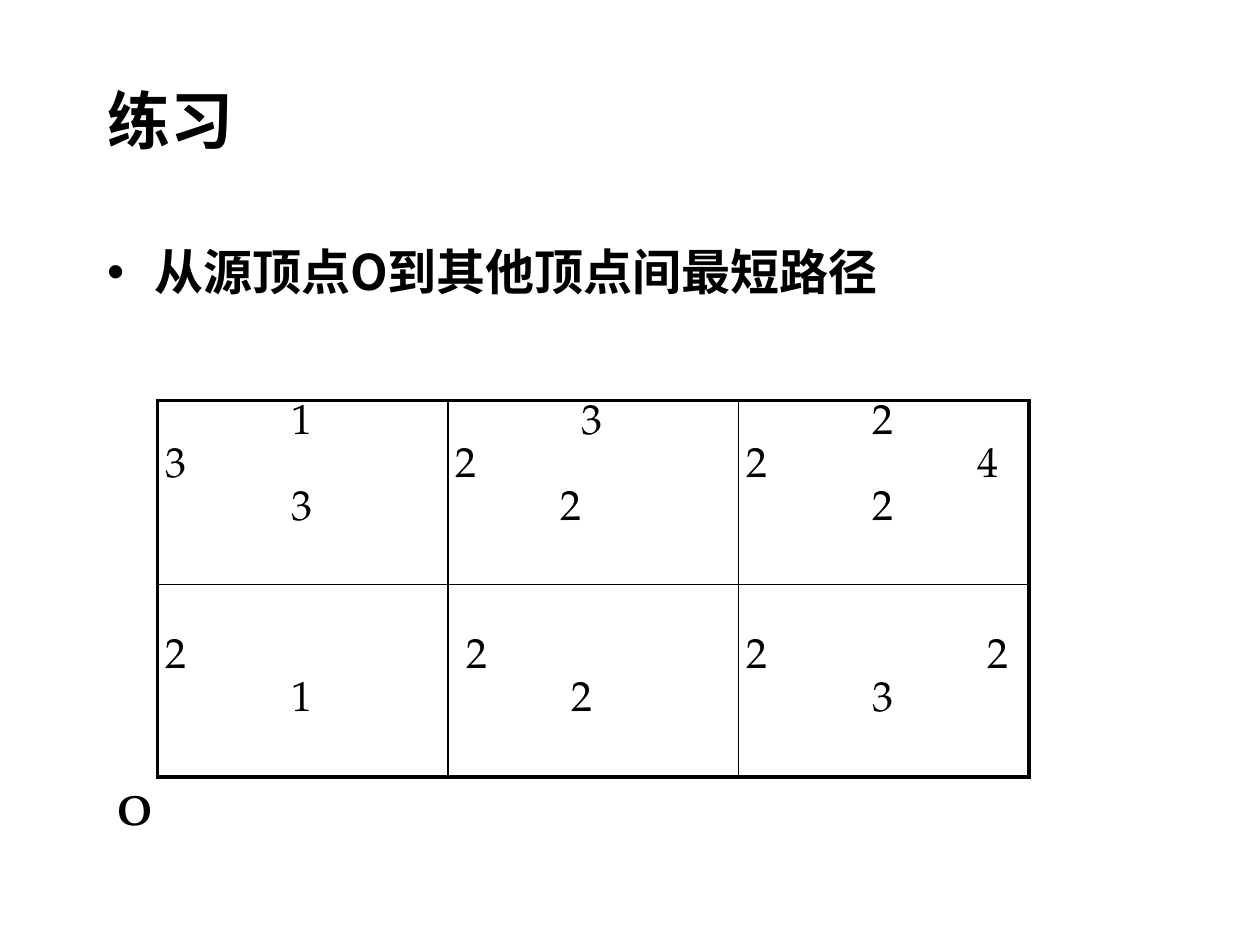
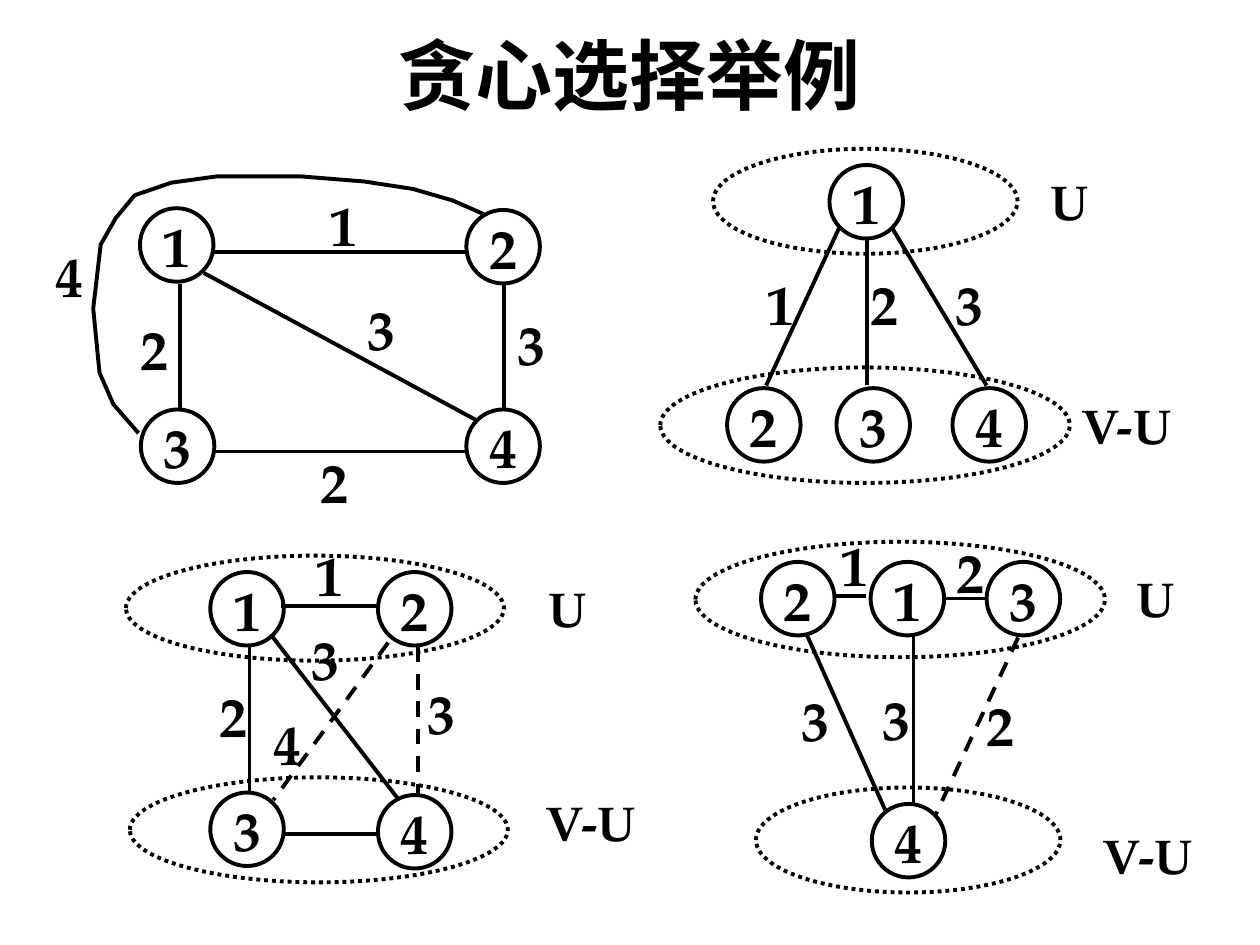
from dataclasses import dataclass, field

from pptx import Presentation
from pptx.dml.color import RGBColor
from pptx.enum.dml import MSO_LINE_DASH_STYLE as DASH
from pptx.enum.shapes import MSO_CONNECTOR, MSO_SHAPE
from pptx.enum.text import MSO_ANCHOR as ANCHOR, MSO_AUTO_SIZE, PP_ALIGN
from pptx.oxml.ns import qn
from pptx.util import Pt

BLACK = RGBColor(0x00, 0x00, 0x00)
SERIF = "TeX Gyre Pagella"
SANS = "Noto Sans CJK SC"
TITLE_ONLY = 5
THICK, THIN = 2.25, 1
NODE_SIZE = 42
DIGIT_SIZE, SET_NAME_SIZE = 32, 28
CELL_SIZE, CELL_PITCH = 24, 28.9
CELL_MARGIN_X, CELL_MARGIN_Y = 4.5, 3.6


@dataclass
class Graph:
    """One drawing: all places are points from its left and top."""
    left: float
    top: float
    nodes: list
    edges: list
    weights: list
    dashed: list = field(default_factory=list)
    sets: list = field(default_factory=list)
    set_names: list = field(default_factory=list)
    curve: list = field(default_factory=list)


GRAPHS = [
    Graph(30, 100,
          nodes=[("1", 50, 19), ("2", 236.5, 20), ("3", 50.5, 134), ("4", 236.5, 134)],
          edges=[(73, 62, 73, 134), (258, 62, 258, 134), (92.5, 44, 236.5, 44),
                 (92.5, 158, 236.5, 158), (86.5, 56, 242, 140)],
          weights=[("1", 158.5, 8.7), ("2", 50.5, 80), ("3", 180, 68.5),
                   ("3", 266, 77), ("4", 1.7, 38), ("2", 153, 155.6)],
          curve=[(246.5, 22.4), (228.5, 14.5), (206, 8), (178, 3.7), (142, 0.8),
                 (93.8, 0.8), (68, 4.4), (47, 11.6), (36.2, 24.6), (27.6, 39.7),
                 (23.3, 76.4), (26.9, 113), (34.8, 131), (49.2, 147.5)]),
    Graph(375, 80,
          nodes=[("1", 99, 14.3), ("2", 40.5, 141.8), ("3", 103, 141.8),
                 ("4", 169.3, 141.8)],
          edges=[(120.4, 56, 120.4, 140.3), (104.5, 50.3, 62.8, 140.3),
                 (134.8, 50.3, 188.8, 140.3)],
          weights=[("2", 122.5, 74), ("1", 62.8, 74), ("3", 170.8, 74)],
          sets=[(32.5, 5, 174, 60), (2.3, 130, 234, 66)],
          set_names=[("U", 225.5, 18), ("V-U", 242.8, 146)]),
    Graph(70, 305,
          nodes=[("1", 50.2, 21.9), ("2", 146, 21.9), ("3", 50.2, 147.9),
                 ("4", 146, 149.3)],
          edges=[(72.6, 63.6, 72.6, 147.9), (90.6, 41.3, 144.6, 41.3),
                 (85.5, 58.6, 157.5, 151.5), (92, 171.6, 146, 171.6)],
          dashed=[(169, 64.4, 169, 148.6), (151.8, 62.2, 86.2, 152.2)],
          weights=[("3", 174, 83), ("4", 86.2, 100.4), ("2", 55.3, 84.5),
                   ("1", 110, 3.9), ("3", 107.8, 52.1)],
          sets=[(2, 12.5, 216, 60), (4.2, 139.2, 216, 60)],
          set_names=[("U", 243.2, 25.5), ("V-U", 241.8, 147.9)]),
    Graph(395, 300,
          nodes=[("2", 39.9, 21.1), ("1", 102.5, 21.1), ("3", 168.8, 21.1),
                 ("4", 103.2, 159.4)],
          edges=[(81.6, 40.6, 99.6, 40.6), (145, 42, 168.8, 42),
                 (127, 63.6, 127, 159.4), (65.8, 62.2, 111.2, 163.7)],
          dashed=[(186.8, 64.3, 139.2, 166.6)],
          weights=[("2", 168.8, 94.6), ("1", 85.2, 3.1), ("2", 151.5, 7.4),
                   ("3", 109, 91), ("3", 62.9, 91.7)],
          sets=[(2.4, 9.6, 234, 66), (37, 150, 174, 60)],
          set_names=[("U", 254.4, 24.7), ("V-U", 235, 171.6)]),
]

GRID_CELLS = [
    [[("1", 72), ("3", 0), ("3", 72)],
     [("3", 72), ("2", 0), ("2", 60)],
     [("2", 72), ("2\t4", 0), ("2", 72)]],
    [[("2", 0), ("1", 72)],
     [("2", 6), ("2", 66)],
     [("2\t2", 0), ("3", 72)]],
]
GRID_TAB_STOPS = [132, 138]


def style_runs(paragraph, size, font=SERIF, bold=True):
    """Give every run of a paragraph its font."""
    for run in paragraph.runs:
        run.font.size = Pt(size)
        run.font.bold = bold
        run.font.name = font
        run.font.color.rgb = BLACK
        east_asian = run.font._element.makeelement(qn("a:ea"), {"typeface": SANS})
        run.font._element.find(qn("a:latin")).addnext(east_asian)


def set_title(slide, text, box, size, font, align, anchor, line_spacing):
    """Move and format the title placeholder."""
    title = slide.shapes.title
    title.left, title.top, title.width, title.height = map(Pt, box)
    frame = title.text_frame
    frame.text = text
    frame.auto_size = MSO_AUTO_SIZE.NONE
    frame.vertical_anchor = anchor
    paragraph = frame.paragraphs[0]
    paragraph.alignment = align
    paragraph.line_spacing = line_spacing
    style_runs(paragraph, size, font)


def add_label(shapes, text, left, top, width, height, size, font=SERIF):
    """Add a text box without insets and return its paragraph."""
    frame = shapes.add_textbox(Pt(left), Pt(top), Pt(width), Pt(height)).text_frame
    frame.margin_left = frame.margin_right = frame.margin_top = frame.margin_bottom = 0
    frame.word_wrap = True
    frame.text = text
    style_runs(frame.paragraphs[0], size, font)
    return frame.paragraphs[0]


def add_bullet_line(slide, text, left, top, width, height):
    """Add the bulleted question with its hanging indent."""
    paragraph = add_label(slide.shapes, text, left, top, width, height, 28, SANS)
    paragraph.line_spacing = 0.9
    properties = paragraph._p.get_or_add_pPr()
    properties.set("marL", str(Pt(27)))
    properties.set("indent", str(-Pt(27)))
    for tag, name, value in (("a:buFont", "typeface", "Arial"), ("a:buChar", "char", "•")):
        properties.append(properties.makeelement(qn(tag), {name: value}))


def set_border(cell, side, width):
    """Draw one side of a table cell."""
    properties = cell._tc.get_or_add_tcPr()
    line = properties.makeelement(qn(f"a:ln{side}"), {"w": str(Pt(width))})
    fill = line.makeelement(qn("a:solidFill"), {})
    fill.append(fill.makeelement(qn("a:srgbClr"), {"val": str(BLACK)}))
    line.append(fill)
    properties.append(line)


def fill_grid_cell(cell, lines, tab_stop):
    """Write the weights of one cell, each at its own indent."""
    frame = cell.text_frame
    frame.text = "\n".join(text for text, _ in lines)
    for index, (paragraph, (text, indent)) in enumerate(zip(frame.paragraphs, lines)):
        paragraph.line_spacing = 0.8
        paragraph.space_before = Pt(5.5 if index else 0)
        style_runs(paragraph, CELL_SIZE, bold=False)
        properties = paragraph._p.get_or_add_pPr()
        properties.set("marL", str(Pt(indent)))
        if "\t" in text:
            stops = properties.makeelement(qn("a:tabLst"), {})
            stops.append(stops.makeelement(qn("a:tab"), {"pos": str(Pt(tab_stop)), "algn": "l"}))
            properties.append(stops)


def add_weight_grid(slide, left, top, width, row_heights):
    """Add the street grid as a table with a thick outline."""
    row_count, column_count = len(GRID_CELLS), len(GRID_CELLS[0])
    table = slide.shapes.add_table(row_count, column_count, Pt(left), Pt(top),
                                   Pt(width), Pt(sum(row_heights))).table
    table.first_row = table.horz_banding = False
    for row, cells in enumerate(GRID_CELLS):
        table.rows[row].height = Pt(row_heights[row])
        for column, lines in enumerate(cells):
            cell = table.cell(row, column)
            cell.margin_left = cell.margin_right = Pt(CELL_MARGIN_X)
            cell.margin_top = Pt(CELL_MARGIN_Y + row * CELL_PITCH)
            cell.margin_bottom = Pt(CELL_MARGIN_Y)
            fill_grid_cell(cell, lines, GRID_TAB_STOPS[row])
            outer = {"L": column == 0, "R": column == column_count - 1,
                     "T": row == 0, "B": row == row_count - 1}
            for side, is_outer in outer.items():
                set_border(cell, side, THICK if is_outer else THIN)
            cell.fill.background()


def set_outline(shape, dash=None):
    """Leave only a black outline on a shape."""
    shape.shadow.inherit = False
    shape.fill.background()
    shape.line.color.rgb = BLACK
    shape.line.width = Pt(THICK)
    if dash:
        shape.line.dash_style = dash


def add_ellipse(shapes, left, top, width, height, dash=None):
    """Add an outlined ellipse."""
    ellipse = shapes.add_shape(MSO_SHAPE.OVAL, Pt(left), Pt(top), Pt(width), Pt(height))
    set_outline(ellipse, dash)
    return ellipse


def add_node(shapes, text, left, top):
    """Add a numbered graph node."""
    frame = add_ellipse(shapes, left, top, NODE_SIZE, NODE_SIZE).text_frame
    frame.word_wrap = False
    frame.vertical_anchor = ANCHOR.MIDDLE
    frame.text = text
    frame.paragraphs[0].alignment = PP_ALIGN.CENTER
    style_runs(frame.paragraphs[0], DIGIT_SIZE)


def add_edge(shapes, left, top, edge, dash=None):
    """Add a straight edge between two points."""
    x1, y1, x2, y2 = edge
    connector = shapes.add_connector(MSO_CONNECTOR.STRAIGHT, Pt(left + x1), Pt(top + y1),
                                     Pt(left + x2), Pt(top + y2))
    connector.line.color.rgb = BLACK
    connector.line.width = Pt(THICK)
    if dash:
        connector.line.dash_style = dash
    properties = connector._element.spPr
    properties.append(properties.makeelement(qn("a:effectLst"), {}))


def add_graph(slide, graph):
    """Add one graph as a group."""
    shapes = slide.shapes.add_group_shape().shapes
    left, top = graph.left, graph.top
    for x, y, width, height in graph.sets:
        add_ellipse(shapes, left + x, top + y, width, height, DASH.ROUND_DOT)
    for edge in graph.edges:
        add_edge(shapes, left, top, edge)
    for edge in graph.dashed:
        add_edge(shapes, left, top, edge, DASH.DASH)
    if graph.curve:
        points = [(Pt(left + x), Pt(top + y)) for x, y in graph.curve]
        builder = shapes.build_freeform(*points[0])
        builder.add_line_segments(points[1:], close=False)
        set_outline(builder.convert_to_shape())
    for text, x, y in graph.nodes:
        add_node(shapes, text, left + x, top + y)
    for text, x, y in graph.weights:
        add_label(shapes, text, left + x, top + y, 18, 39, DIGIT_SIZE)
    for text, x, y in graph.set_names:
        add_label(shapes, text, left + x, top + y, 54, 34, SET_NAME_SIZE)


def build_exercise_slide(slide):
    """Build the shortest-path exercise."""
    set_title(slide, "练习", (54, 48, 612, 90), 36, SANS, PP_ALIGN.LEFT, ANCHOR.TOP, 0.9)
    add_bullet_line(slide, "从源顶点O到其他顶点间最短路径", 61.2, 141.8, 597.6, 46.8)
    add_weight_grid(slide, 90, 229, 498, (105, 110))
    add_label(slide.shapes, "O", 67, 447.8, 24, 30, CELL_SIZE)


def build_greedy_slide(slide):
    """Build the four graphs of the greedy choice."""
    set_title(slide, "贪心选择举例", (54, 12, 612, 60), 44, SERIF,
              PP_ALIGN.CENTER, ANCHOR.MIDDLE, 1.0)
    for graph in GRAPHS:
        add_graph(slide, graph)


def main():
    """Build and save the presentation."""
    presentation = Presentation()
    presentation.slide_width, presentation.slide_height = Pt(720), Pt(540)
    layout = presentation.slide_layouts[TITLE_ONLY]
    for build in (build_exercise_slide, build_greedy_slide):
        build(presentation.slides.add_slide(layout))
    presentation.save("out.pptx")


if __name__ == "__main__":
    main()
